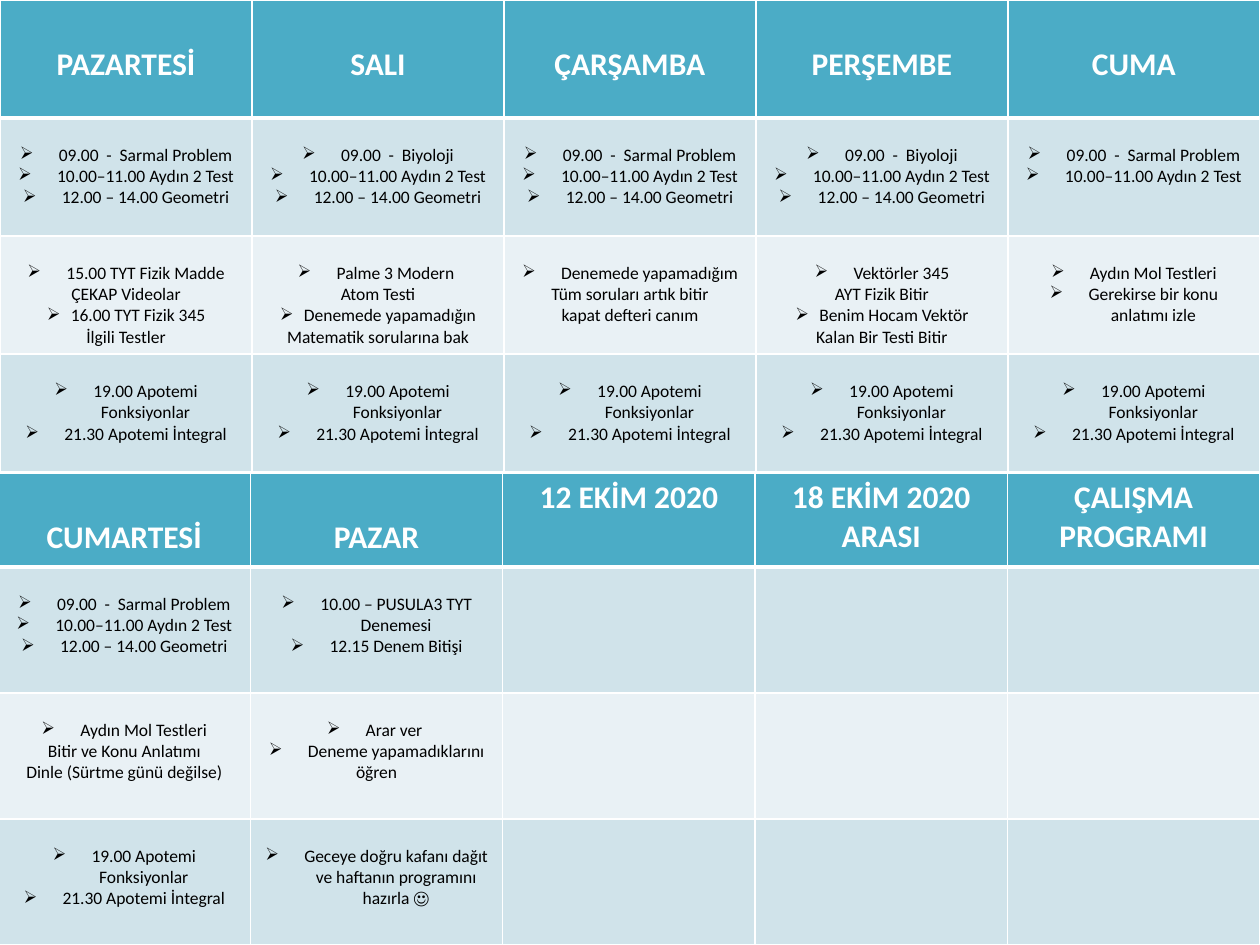
"""Builds a weekly study plan slide from two tables."""
from lxml import etree
from pptx import Presentation
from pptx.dml.color import RGBColor
from pptx.enum.text import PP_ALIGN
from pptx.oxml.ns import qn
from pptx.util import Pt

SCALE = 914400 // 126
COLORS = {"header": "4BACC6", "band": "D0E3EA", "light": "E9F1F5",
          "white": "FFFFFF", "black": "000000"}
WIDE, NARROW = 39, 24


def px(value):
    """Turn picture pixels into EMU."""
    return round(value * SCALE)


def task(*texts):
    """Return bulleted lines with a wide hanging indent."""
    return [(text, WIDE) for text in texts]


def note(*texts):
    """Return plain lines without a bullet."""
    return [(text, 0) for text in texts]


def subtask(text):
    """Return a bulleted line with a narrow hanging indent."""
    return [(text, NARROW)]


class Planner:
    """Holds the style and the current slide."""

    font = "Calibri"
    header_size, body_size = 18, 10
    margin, header_top, body_top = 6, 45, 27

    def __init__(self, width, height):
        """Start a presentation with one blank slide."""
        self.deck = Presentation()
        self.deck.slide_width, self.deck.slide_height = px(width), px(height)
        self.slide = self.deck.slides.add_slide(self.deck.slide_layouts[6])

    def table(self, left, top, width, heights, rows, raised=()):
        """Add a banded table whose raised header columns start at the top."""
        columns = len(rows[0])
        frame = self.slide.shapes.add_table(
            len(rows), columns, px(left), px(top), px(width), px(sum(heights)))
        table = frame.table
        table.horz_banding = False
        for column in table.columns:
            column.width = px(width / columns)
        for r, height in enumerate(heights):
            table.rows[r].height = px(height)
            for c in range(columns):
                cell = table.cell(r, c)
                lines = rows[r][c] if c < len(rows[r]) else []
                if r == 0:
                    cell.margin_top = px(self.margin if c in raised else self.header_top)
                    self.paint_cell(cell, "header", 3)
                    self.add_lines(cell, note(lines), self.header_size, "white", True)
                else:
                    cell.margin_top = px(self.body_top)
                    self.paint_cell(cell, "band" if r % 2 else "light", 1)
                    self.add_lines(cell, lines, self.body_size, "black", False)

    def paint_cell(self, cell, color, bottom):
        """Colour a cell and draw its white borders."""
        cell.fill.solid()
        cell.fill.fore_color.rgb = RGBColor.from_string(COLORS[color])
        properties = cell._tc.get_or_add_tcPr()
        sides = (("lnL", 1), ("lnR", 1), ("lnT", 1), ("lnB", bottom))
        for index, (side, points) in enumerate(sides):
            line = etree.Element(qn("a:" + side), w=str(Pt(points)))
            paint = etree.SubElement(line, qn("a:solidFill"))
            etree.SubElement(paint, qn("a:srgbClr"), val=COLORS["white"])
            properties.insert(index, line)

    def add_lines(self, cell, lines, size, color, bold):
        """Put centred paragraphs into a cell."""
        for index, (text, indent) in enumerate(lines):
            frame = cell.text_frame
            paragraph = frame.add_paragraph() if index else frame.paragraphs[0]
            paragraph.text = text
            paragraph.alignment = PP_ALIGN.CENTER
            for run in paragraph.runs:
                run.font.name, run.font.size, run.font.bold = self.font, Pt(size), bold
                run.font.color.rgb = RGBColor.from_string(COLORS[color])
            for line_break in paragraph._p.findall(qn("a:br")):
                etree.SubElement(line_break, qn("a:rPr"), sz=str(size * 100))
            if indent:
                self.bullet(paragraph, indent)

    def bullet(self, paragraph, indent):
        """Give a paragraph an arrow bullet with a hanging indent."""
        properties = paragraph._p.get_or_add_pPr()
        properties.set("marL", str(px(indent)))
        properties.set("indent", str(-px(indent)))
        etree.SubElement(properties, qn("a:buChar"), char="➢")


tests = "10.00–11.00 Aydın 2 Test"
problems = task("09.00  -  Sarmal Problem", tests)
geometry = task("12.00 – 14.00 Geometri")
biology = task("09.00  -  Biyoloji", tests) + geometry
evening = task("19.00 Apotemi Fonksiyonlar", "21.30 Apotemi İntegral")

weekdays = [
    ["PAZARTESİ", "SALI", "ÇARŞAMBA", "PERŞEMBE", "CUMA"],
    [problems + geometry, biology, problems + geometry, biology, problems],
    [
        task("15.00 TYT Fizik Madde") + note("ÇEKAP Videolar")
        + subtask("16.00 TYT Fizik 345") + note("İlgili Testler"),
        task("Palme 3 Modern ") + note("Atom Testi")
        + subtask("Denemede yapamadığın") + note("Matematik sorularına bak"),
        task("Denemede yapamadığım")
        + note("Tüm soruları artık bitir\vkapat defteri canım"),
        task("Vektörler 345") + note("AYT Fizik Bitir")
        + subtask("Benim Hocam Vektör") + note("Kalan Bir Testi Bitir"),
        task("Aydın Mol Testleri", "Gerekirse bir konu anlatımı izle"),
    ],
    [evening] * 5,
]
weekend = [
    ["CUMARTESİ", "PAZAR", "12 EKİM 2020", "18 EKİM 2020 ARASI", "ÇALIŞMA PROGRAMI"],
    [problems + geometry,
     task("10.00 – PUSULA3 TYT Denemesi", "12.15 Denem Bitişi")],
    [task("Aydın Mol Testleri")
     + note("Bitir ve Konu Anlatımı", "Dinle (Sürtme günü değilse)"),
     task("Arar ver ", "Deneme yapamadıklarını") + note("öğren")],
    [evening, task("Geceye doğru kafanı dağıt ve haftanın programını hazırla ☺")],
]

planner = Planner(1260, 945)
planner.table(0, 0, 1260, [118] * 4, weekdays)
planner.table(-2, 473, 1262, [94] + [126] * 3, weekend, raised=(2, 3, 4))
planner.deck.save("out.pptx")
